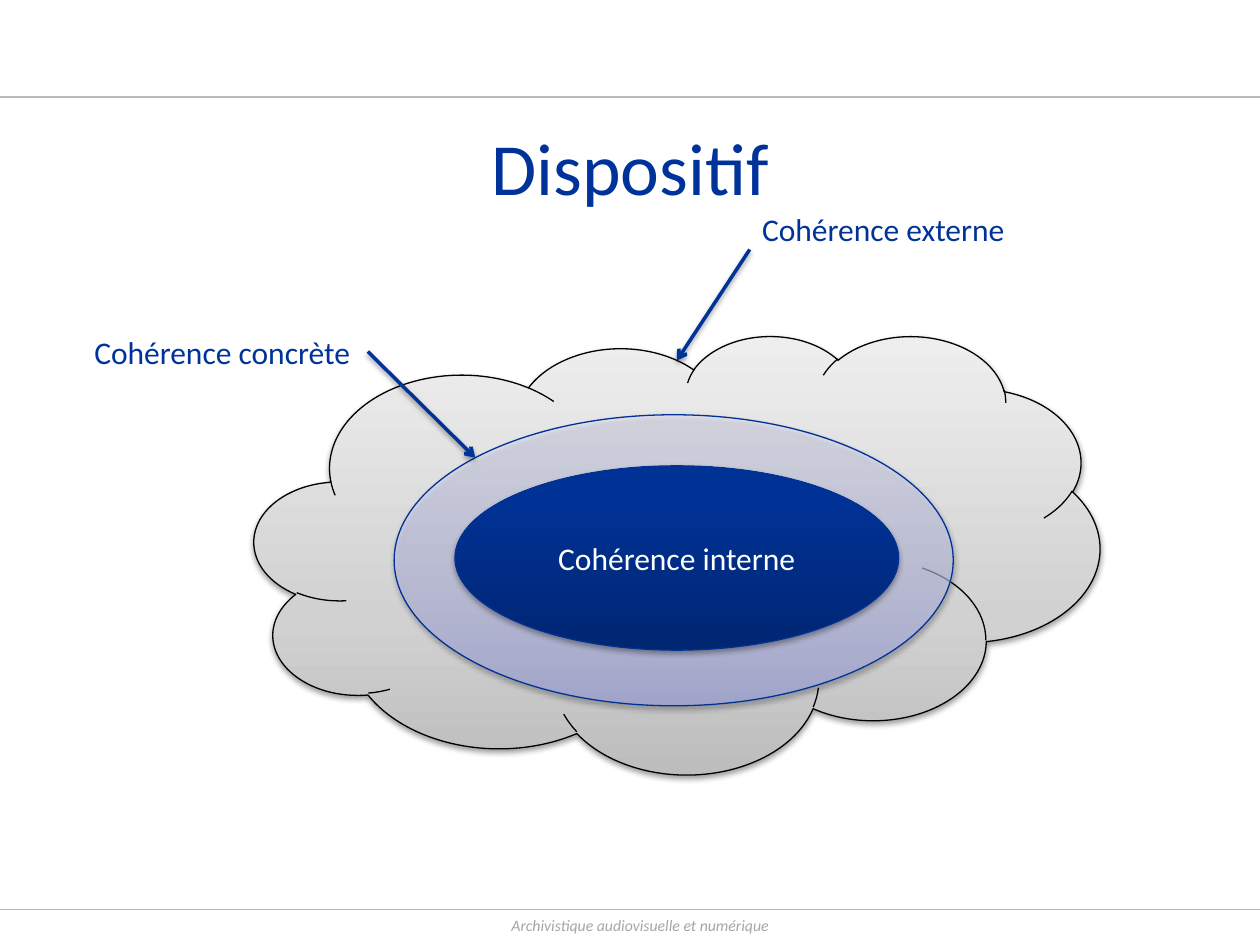
from lxml.etree import SubElement as Sub
from pptx import Presentation
from pptx.dml.color import RGBColor
from pptx.enum.shapes import MSO_CONNECTOR as Link, MSO_SHAPE as Shape
from pptx.enum.text import MSO_ANCHOR as Anchor, PP_ALIGN as Align
from pptx.oxml.ns import qn
from pptx.util import Pt

WIDE, HIGH = 720, 540
BLUE, EDGE, RULE = "003399", "003296", "BABABA"
TITLE = ("Dispositif", (36, 67, 648, 56))
FOOTER = ("Archivistique audiovisuelle et numérique", (73.5, 523.5, 584.5, 16.5))
RULES = (55.4, 519.8)
# kind, box, edge, (stop, colour) pairs, opacity, shadow opacity, text
LAYERS = [
    (Shape.CLOUD, (145.4, 191.5, 483, 250.5), "000000",
     [(0, "BDBDBD"), (35, "D1D1D1"), (100, "EEEEEE")], 100, 38, ""),
    (Shape.OVAL, (225.2, 237, 319.5, 166.3), EDGE,
     [(0, "A5ABEB"), (35, "C1C5F0"), (100, "E7E8FA")], 58, 38, ""),
    (Shape.OVAL, (260, 266.2, 253.5, 105.3), EDGE,
     [(0, "002672"), (80, "003194"), (100, "003295")], 100, 35,
     "Cohérence interne"),
]
LABELS = [
    ("Cohérence externe", (428.4, 116.6, 155, 51)),
    ("Cohérence concrète", (46.8, 186.5, 163.5, 29)),
]
ARROWS = [(210.2, 200.9, 271.6, 261.6), (428.4, 142.6, 386.8, 206)]


def paint(code):
    """Turn a hex string into a colour."""
    return RGBColor.from_string(code)


def place(box):
    """Turn a tuple of numbers into points."""
    return [Pt(n) for n in box]


def write(shape, text, size, color, align=Align.CENTER, italic=False):
    """Put one formatted line of text into a shape."""
    frame = shape.text_frame
    frame.text = text
    para = frame.paragraphs[0]
    para.alignment = align
    font = para.runs[0].font
    font.name, font.size, font.italic = "Calibri", Pt(size), italic
    font.color.rgb = paint(color)
    return frame


def tint(node, code, alpha):
    """Add a colour with an opacity in percent to an XML node."""
    color = Sub(node, qn("a:srgbClr"), val=code)
    if alpha < 100:
        Sub(color, qn("a:alpha"), val=str(alpha * 1000))


def shade(shape, alpha=None):
    """Set a soft shadow below a shape, or none at all."""
    props = shape._element.spPr
    for old in props.findall(qn("a:effectLst")):
        props.remove(old)
    effect = Sub(props, qn("a:effectLst"))
    if alpha:
        cast = Sub(effect, qn("a:outerShdw"), blurRad=str(Pt(3.1)),
                   dist=str(Pt(1.6)), dir="5400000", rotWithShape="0")
        tint(cast, "000000", alpha)


def blend(shape, stops, alpha):
    """Fill a shape with a gradient that rises from the bottom."""
    shape.fill.gradient()
    shape.fill.gradient_angle = 90
    group = shape._element.spPr.find(".//" + qn("a:gsLst"))
    for old in list(group):
        group.remove(old)
    for pos, code in stops:
        tint(Sub(group, qn("a:gs"), pos=str(pos * 1000)), code, alpha)


def draw(ends, color, width):
    """Draw a straight line without a shadow."""
    line = slide.shapes.add_connector(Link.STRAIGHT, *place(ends))
    line.line.color.rgb = paint(color)
    line.line.width = Pt(width)
    shade(line)
    return line


deck = Presentation()
deck.slide_width, deck.slide_height = Pt(WIDE), Pt(HIGH)
slide = deck.slides.add_slide(deck.slide_layouts[5])

text, box = TITLE
title = slide.shapes.title
title.left, title.top, title.width, title.height = place(box)
write(title, text, 42, BLUE).vertical_anchor = Anchor.MIDDLE

text, box = FOOTER
foot = slide.shapes.add_textbox(*place(box))
frame = write(foot, text, 9, "A6A6A6", italic=True)
frame.word_wrap = True
frame.margin_left = frame.margin_right = 0
frame.margin_top = frame.margin_bottom = 0
for y in RULES:
    draw((0, y, WIDE, y), RULE, 1)

for kind, box, edge, stops, alpha, dark, text in LAYERS:
    layer = slide.shapes.add_shape(kind, *place(box))
    blend(layer, stops, alpha)
    layer.line.color.rgb = paint(edge)
    layer.line.width = Pt(0.75)
    shade(layer, dark)
    if text:
        write(layer, text, 18, "FFFFFF").vertical_anchor = Anchor.MIDDLE

for text, box in LABELS:
    label = slide.shapes.add_textbox(*place(box))
    write(label, text, 18, BLUE, Align.LEFT).word_wrap = False

for ends in ARROWS:
    arrow = draw(ends, BLUE, 2)
    Sub(arrow.line._get_or_add_ln(), qn("a:tailEnd"), type="arrow")
    shade(arrow, 38)

deck.save("out.pptx")
